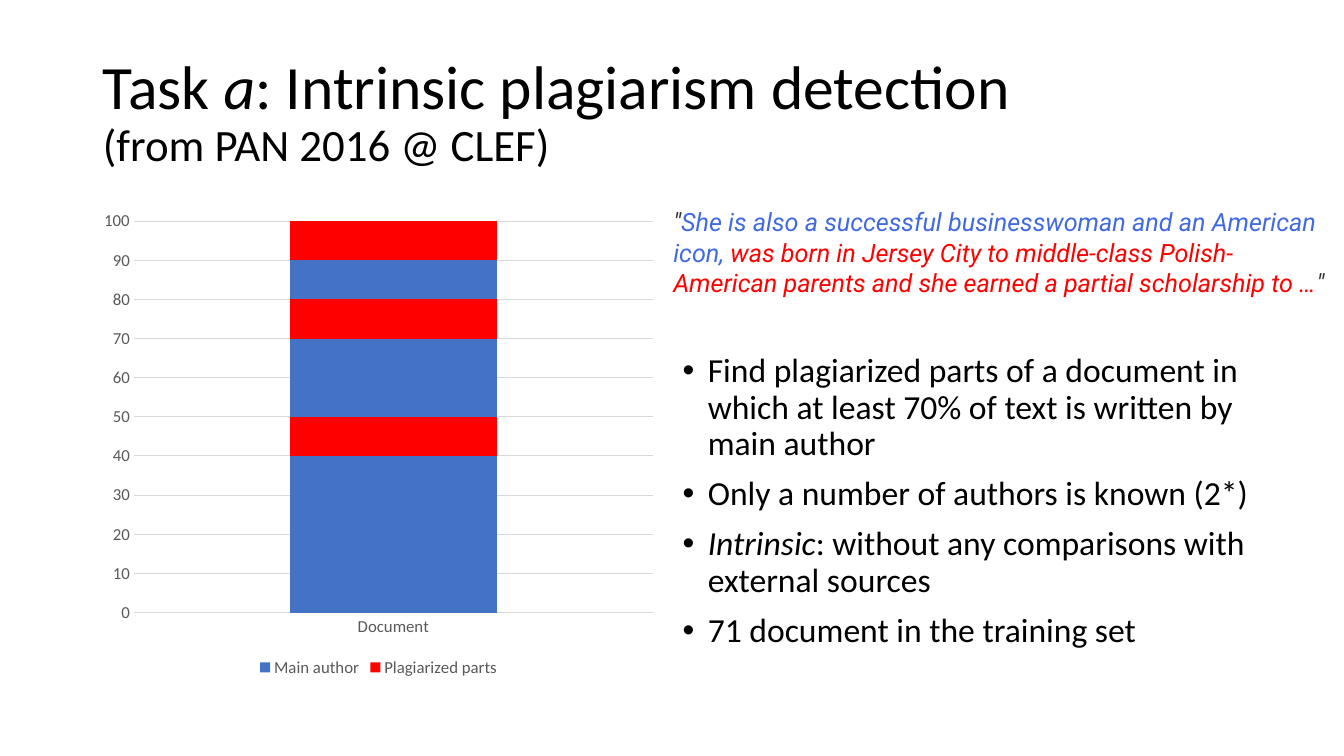
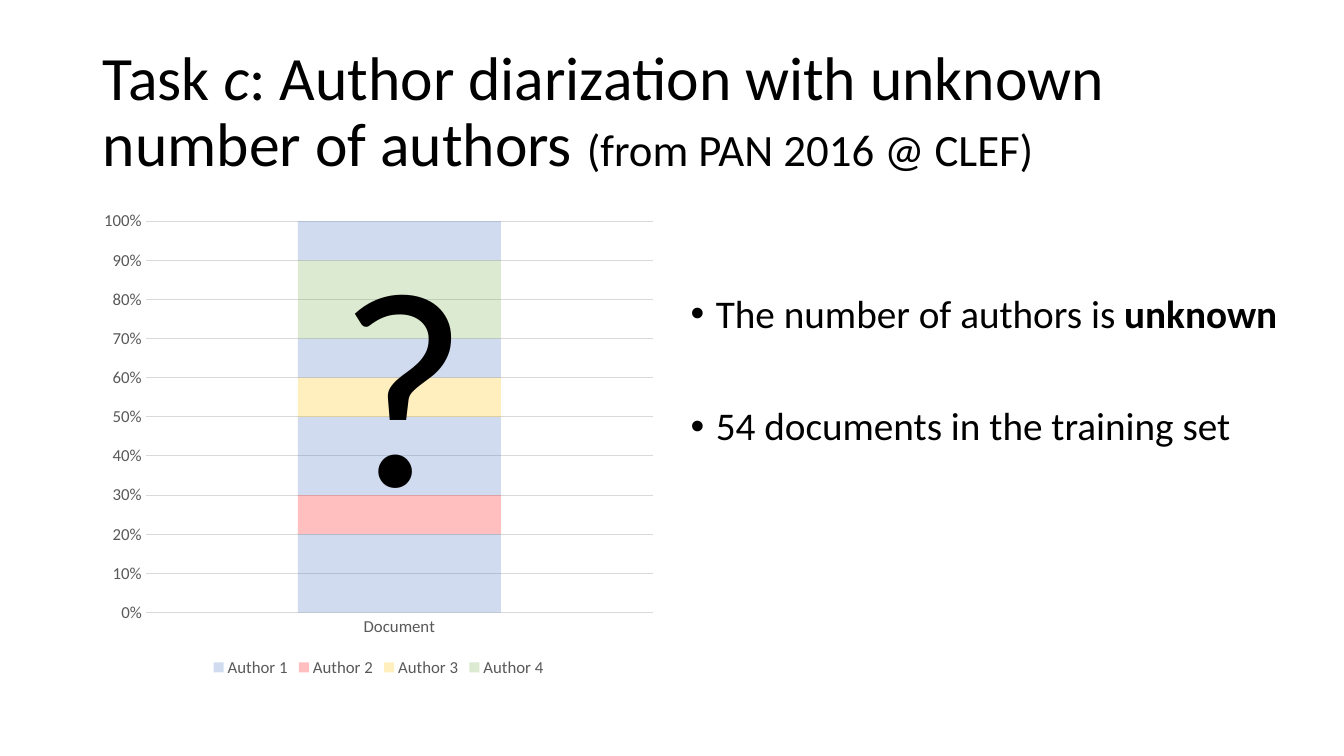
"""Build two slides on plagiarism detection and author diarization."""
from pptx import Presentation
from pptx.chart.data import CategoryChartData
from pptx.dml.color import RGBColor
from pptx.enum.chart import XL_CHART_TYPE, XL_LEGEND_POSITION, XL_TICK_MARK
from pptx.enum.text import MSO_ANCHOR, MSO_AUTO_SIZE, PP_ALIGN
from pptx.oxml.ns import qn
from pptx.util import Inches, Pt

STACKED = XL_CHART_TYPE.COLUMN_STACKED
STACKED_100 = XL_CHART_TYPE.COLUMN_STACKED_100
BOTTOM = XL_LEGEND_POSITION.BOTTOM
NO_TICK = XL_TICK_MARK.NONE
LEFT = PP_ALIGN.LEFT
TOP, MIDDLE = MSO_ANCHOR.TOP, MSO_ANCHOR.MIDDLE
FIXED, GROW = MSO_AUTO_SIZE.NONE, MSO_AUTO_SIZE.SHAPE_TO_FIT_TEXT

BLACK = RGBColor(0x00, 0x00, 0x00)
QUOTE_GRAY = RGBColor(0x33, 0x33, 0x33)
AXIS_GRAY = RGBColor(0x59, 0x59, 0x59)
GRID_GRAY = RGBColor(0xD9, 0xD9, 0xD9)
ROYAL_BLUE = RGBColor(0x41, 0x69, 0xE1)
BLUE = RGBColor(0x44, 0x72, 0xC4)
RED = RGBColor(0xFF, 0x00, 0x00)
GOLD = RGBColor(0xFF, 0xC0, 0x00)
GREEN = RGBColor(0x70, 0xAD, 0x47)

FONT = "Calibri"
TITLE_BOX = (0.92, 0.4, 11.5, 1.45)
CHART_BOX = (0.92, 2, 5.67, 4.76)
ITALIC = {"italic": True}
VENUE = ("(from PAN 2016 @ CLEF)", {"size": Pt(32)})


def place(shape, box):
    """Move a shape to a box given in inches."""
    for name, value in zip(("left", "top", "width", "height"), box):
        setattr(shape, name, Inches(value))


def format_font(font, color, **values):
    """Set the colour and the other given values of a font."""
    for name, value in values.items():
        setattr(font, name, value)
    font.color.rgb = color


def add_spans(para, spans, color=BLACK, **base):
    """Fill a paragraph with (text, format) spans; a newline is a line break."""
    for text, changes in spans:
        if text == "\n":
            para.add_line_break()
            continue
        span = para.add_run()
        span.text = text
        format_font(span.font, **{"color": color, "name": FONT, **base, **changes})


def set_frame(frame, **values):
    """Set wrapping and the given values of a text frame."""
    for name, value in {"word_wrap": True, **values}.items():
        setattr(frame, name, value)


def add_title(page, spans):
    """Fill and place the title placeholder."""
    title = page.shapes.title
    place(title, TITLE_BOX)
    set_frame(title.text_frame, auto_size=FIXED, vertical_anchor=MIDDLE)
    para = title.text_frame.paragraphs[0]
    para.alignment, para.line_spacing = LEFT, 0.9
    add_spans(para, spans, size=Pt(44))


def add_bullets(page, box, items, size, gap=10, inset=0.05):
    """Fill and place the body placeholder as a bulleted list."""
    body = page.placeholders[1]
    place(body, box)
    frame = body.text_frame
    set_frame(frame, auto_size=FIXED, vertical_anchor=TOP, margin_top=Inches(inset))
    for index, spans in enumerate(items):
        para = frame.add_paragraph() if index else frame.paragraphs[0]
        para.line_spacing = 0.9
        para.space_before = Pt(gap if index else 10)
        properties = para._p.get_or_add_pPr()
        properties.set("marL", str(Inches(0.25)))
        properties.set("indent", str(Inches(-0.25)))
        add_spans(para, spans, size=Pt(size))


def add_text(page, box, spans, **base):
    """Add a wrapping text box of one paragraph."""
    shape = page.shapes.add_textbox(*map(Inches, box))
    set_frame(shape.text_frame, auto_size=GROW)
    add_spans(shape.text_frame.paragraphs[0], spans, **base)


def set_line(line, color):
    """Give a line the thin chart width and a colour."""
    line.width = Pt(0.75)
    line.color.rgb = color


def format_axes(chart, number_format):
    """Style both axes and the gridlines."""
    values = chart.value_axis
    for axis in (chart.category_axis, values):
        axis.major_tick_mark = axis.minor_tick_mark = NO_TICK
        format_font(axis.tick_labels.font, AXIS_GRAY, name=FONT, size=Pt(12))
    set_line(chart.category_axis.format.line, GRID_GRAY)
    values.format.line.fill.background()
    values.has_major_gridlines = True
    set_line(values.major_gridlines.format.line, GRID_GRAY)
    values.tick_labels.number_format = number_format
    values.tick_labels.number_format_is_linked = False


def add_legend(chart, hidden):
    """Add a bottom legend without the entries at the hidden indexes."""
    chart.has_legend = True
    legend = chart.legend
    legend.position, legend.include_in_layout = BOTTOM, False
    format_font(legend.font, AXIS_GRAY, name=FONT, size=Pt(12))
    for place_in_legend, index in enumerate(hidden, start=1):
        entry = legend._element.makeelement(qn("c:legendEntry"), {})
        for tag, value in (("c:idx", index), ("c:delete", 1)):
            entry.append(entry.makeelement(qn(tag), {"val": str(value)}))
        legend._element.insert(place_in_legend, entry)


def add_document_chart(page, kind, parts, number_format, opacity=100):
    """Add a one-column stacked chart of (name, value, colour) parts."""
    data = CategoryChartData()
    data.categories = ["Document"]
    for index, (name, value, _) in enumerate(parts, start=1):
        data.add_series(name or f"Series {index}", [value])
    chart = page.shapes.add_chart(kind, *map(Inches, CHART_BOX), data).chart
    chart.has_title = False
    format_font(chart.font, BLACK, name=FONT, size=Pt(10))
    plot = chart.plots[0]
    plot.gap_width, plot.overlap, plot.vary_by_categories = 150, 100, False
    for series, (_, _, color) in zip(plot.series, parts):
        series.format.fill.solid()
        series.format.fill.fore_color.rgb = color
        if opacity < 100:
            for fill in series._element.iter(qn("a:srgbClr")):
                alpha = fill.makeelement(qn("a:alpha"), {"val": str(opacity * 1000)})
                fill.append(alpha)
    format_axes(chart, number_format)
    add_legend(chart, [i for i, part in enumerate(parts) if not part[0]])
    return chart


def build_intrinsic(page):
    """Build the intrinsic plagiarism detection slide."""
    add_title(page, [("Task ", {}), ("a", ITALIC),
                     (": Intrinsic plagiarism detection ", {}), ("\n", {}), VENUE])
    chart = add_document_chart(page, STACKED, [
        ("Main author", 40, BLUE), ("Plagiarized parts", 10, RED), ("", 20, BLUE),
        ("", 10, RED), ("", 10, BLUE), ("", 10, RED)], "General")
    chart.value_axis.maximum_scale = 100
    add_bullets(page, (6.67, 3.46, 5.98, 3.3), [
        [("Find plagiarized parts of a document in which at least 70% of text "
          "is written by main author", {})],
        [("Only a number of authors is known (2*)", {})],
        [("Intrinsic", ITALIC), (": without any comparisons with external sources", {})],
        [("71 document in the training set", {})]], 24)
    add_text(page, (6.58, 2, 6.67, 1.31), [
        ('"', {}),
        ("She is also a successful businesswoman and an American icon,",
         {"color": ROYAL_BLUE}),
        ("\u00a0was born in Jersey City to middle-class Polish-American parents "
         "and she earned a partial scholarship to …", {"color": RED}),
        ('"', {})], color=QUOTE_GRAY, name="Roboto", size=Pt(18), italic=True)


def build_diarization(page):
    """Build the author diarization slide."""
    add_title(page, [("Task ", {}), ("c", ITALIC),
                     (": Author diarization with unknown number of authors ", {}), VENUE])
    add_document_chart(page, STACKED_100, [
        ("Author 1", 20, BLUE), ("Author 2", 10, RED), ("", 20, BLUE),
        ("Author 3", 10, GOLD), ("", 10, BLUE), ("Author 4", 20, GREEN),
        ("", 10, BLUE)], "0%", opacity=25)
    add_bullets(page, (6.75, 2.27, 6.24, 4.49), [
        [("The number of authors is ", {}), ("unknown", {"bold": True})],
        [("54 documents in the training set", {})]], 28, gap=50, inset=0.65)
    add_text(page, (3.26, 2, 1.41, 3.47), [("?", {})], size=Pt(200))


def main():
    """Build and save the deck."""
    deck = Presentation()
    deck.slide_width, deck.slide_height = Inches(13.33), Inches(7.5)
    for build in (build_intrinsic, build_diarization):
        build(deck.slides.add_slide(deck.slide_layouts[1]))
    deck.save("out.pptx")


main()
